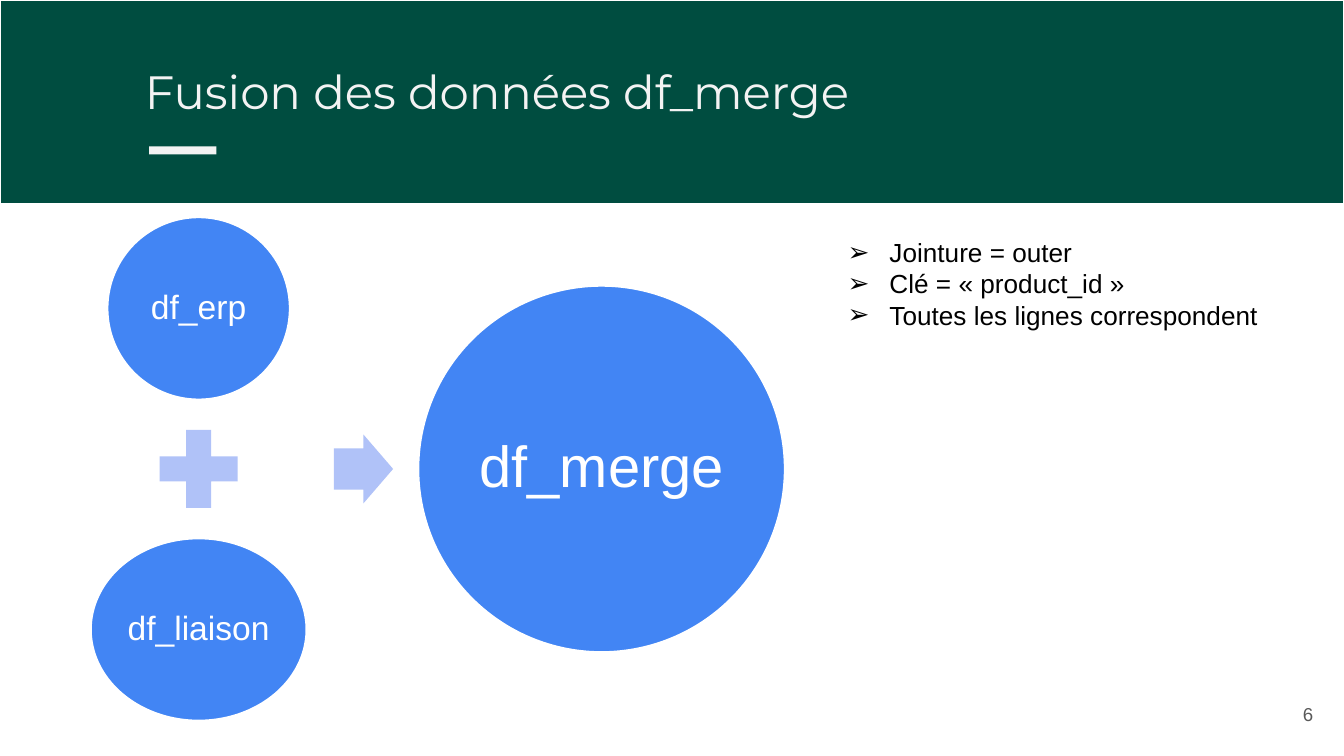
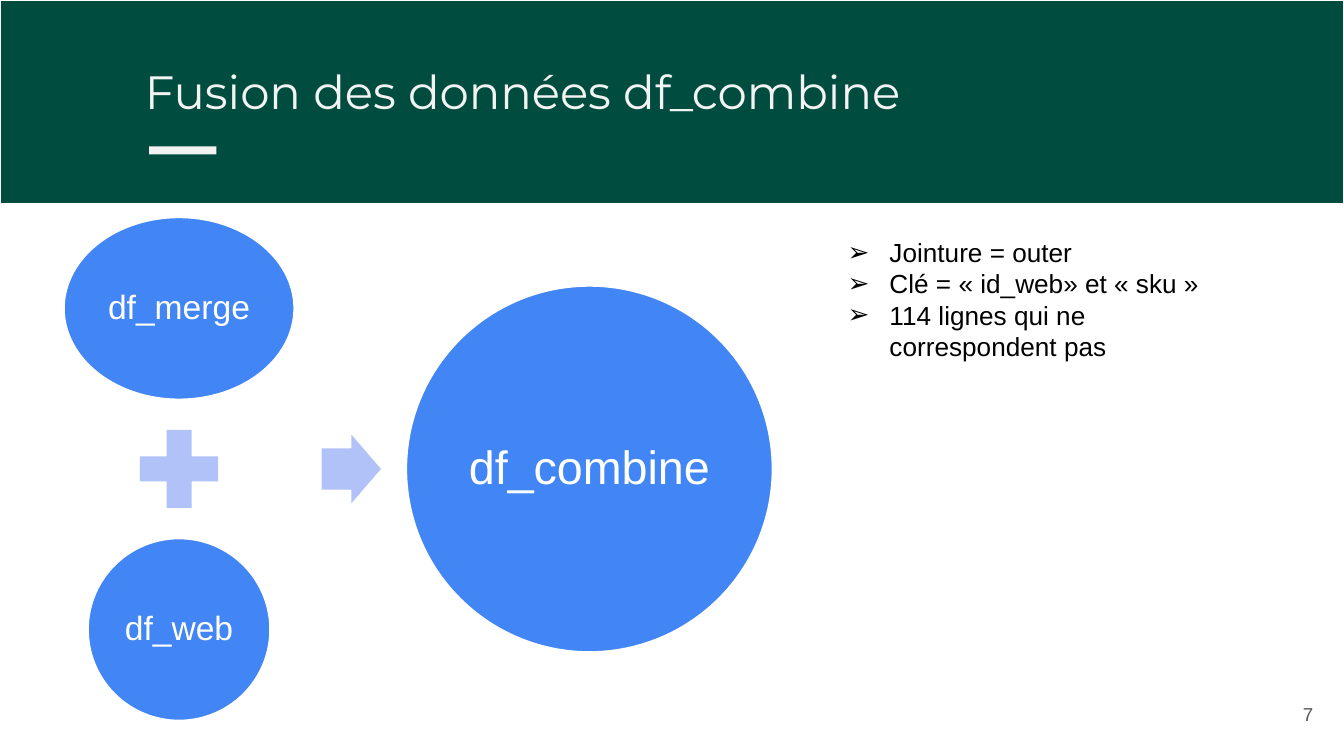
from dataclasses import dataclass

from lxml import etree
from pptx import Presentation
from pptx import util as u
from pptx.dml.color import RGBColor
from pptx.enum import shapes, text
from pptx.oxml import ns

SLIDES = [
    {
        "title": "Fusion des données df_merge",
        "number": "6",
        "left": 1.7,
        "sources": [("df_erp", 3.48), ("df_liaison", 4.11)],
        "result": ("df_merge", 31),
        "notes": [
            "Jointure = outer",
            "Clé = « product_id »",
            "Toutes les lignes correspondent",
        ],
    },
    {
        "title": "Fusion des données df_combine",
        "number": "7",
        "left": 1.19,
        "sources": [("df_merge", 4.39), ("df_web", 3.48)],
        "result": ("df_combine", 25),
        "notes": [
            "Jointure = outer",
            "Clé = « id_web» et « sku »",
            "114 lignes qui ne correspondent pas",
        ],
    },
]


@dataclass(frozen=True)
class Theme:
    band: str = "004D40"
    light: str = "F3F3F3"
    white: str = "FFFFFF"
    black: str = "000000"
    grey: str = "595959"
    circle: str = "4285F4"
    operator: str = "B0C2F8"
    title_font: str = "Montserrat"
    body_font: str = "Arial"
    title_size: int = 25
    source_size: int = 18
    note_size: int = 14
    number_size: int = 10


THEME = Theme()
WIDTH, HEIGHT = 25.4, 14.29
DIAGRAM_TOP = 4.09
SOURCE_HEIGHT = 3.48
PLUS_SIZE = 2.01
SOURCE_GAP = 0.29
ARROW_WIDTH, ARROW_HEIGHT = 1.12, 1.3
ARROW_GAP_BEFORE, ARROW_GAP_AFTER = 0.5, 0.46
RESULT_SIZE = 6.96
NOTE_INDENT = 0.79


def place(shape, left, top, width, height):
    shape.left, shape.top = u.Cm(left), u.Cm(top)
    shape.width, shape.height = u.Cm(width), u.Cm(height)


def set_frame(shape, margin_x, margin_y, anchor):
    frame = shape.text_frame
    frame.word_wrap = True
    frame.auto_size = text.MSO_AUTO_SIZE.NONE
    frame.vertical_anchor = anchor
    frame.margin_left = frame.margin_right = u.Cm(margin_x)
    frame.margin_top = frame.margin_bottom = u.Cm(margin_y)
    return frame


def style(paragraph, size, color, align, font=THEME.body_font):
    paragraph.alignment = align
    paragraph.space_before = u.Pt(0)
    for run in paragraph.runs:
        run.font.size = u.Pt(size)
        run.font.name = font
        run.font.color.rgb = RGBColor.from_string(color)


def add_block(slide, kind, box, fill, line=None, line_width=0):
    shape = slide.shapes.add_shape(kind, *map(u.Cm, box))
    shape.shadow.inherit = False
    shape.fill.solid()
    shape.fill.fore_color.rgb = RGBColor.from_string(fill)
    if line:
        shape.line.color.rgb = RGBColor.from_string(line)
        shape.line.width = u.Pt(line_width)
    else:
        shape.line.fill.background()
    return shape


def add_circle(slide, box, label, size):
    circle = add_block(slide, shapes.MSO_SHAPE.OVAL, box, THEME.circle, THEME.white, 2)
    frame = set_frame(circle, 0.08, 0.08, text.MSO_ANCHOR.MIDDLE)
    frame.text = label
    paragraph = frame.paragraphs[0]
    paragraph.line_spacing = 0.9
    style(paragraph, size, THEME.white, text.PP_ALIGN.CENTER)


def add_header(slide, title):
    rectangle = shapes.MSO_SHAPE.RECTANGLE
    band = add_block(slide, rectangle, (0, 0, WIDTH, 3.86), THEME.band, THEME.white, 0.75)
    heading = slide.shapes.title
    heading.element.addprevious(band.element)
    place(heading, 2.49, 0.94, 23.67, 1.6)
    frame = set_frame(heading, 0.25, 0.25, text.MSO_ANCHOR.TOP)
    frame.text = title
    style(frame.paragraphs[0], THEME.title_size, THEME.light,
          text.PP_ALIGN.LEFT, THEME.title_font)
    add_block(slide, rectangle, (2.82, 2.77, 1.27, 0.15), THEME.light)


def add_number(slide, number):
    box = slide.shapes.add_textbox(*map(u.Cm, (23.55, 12.95, 1.52, 1.09)))
    frame = set_frame(box, 0.25, 0.25, text.MSO_ANCHOR.MIDDLE)
    frame.text = number
    style(frame.paragraphs[0], THEME.number_size, THEME.grey, text.PP_ALIGN.RIGHT)


def add_diagram(slide, left, sources, result):
    column = max(width for _, width in sources)
    center = left + column / 2
    step = SOURCE_HEIGHT + PLUS_SIZE + 2 * SOURCE_GAP
    middle = DIAGRAM_TOP + (step + SOURCE_HEIGHT) / 2
    for row, (label, width) in enumerate(sources):
        box = (center - width / 2, DIAGRAM_TOP + row * step, width, SOURCE_HEIGHT)
        add_circle(slide, box, label, THEME.source_size)
    plus_box = (center - PLUS_SIZE / 2, middle - PLUS_SIZE / 2, PLUS_SIZE, PLUS_SIZE)
    add_block(slide, shapes.MSO_SHAPE.MATH_PLUS, plus_box, THEME.operator)
    arrow_left = left + column + ARROW_GAP_BEFORE
    arrow_box = (arrow_left, middle - ARROW_HEIGHT / 2, ARROW_WIDTH, ARROW_HEIGHT)
    arrow = add_block(slide, shapes.MSO_SHAPE.RIGHT_ARROW, arrow_box, THEME.operator)
    arrow.adjustments[0] = 0.6
    result_left = arrow_left + ARROW_WIDTH + ARROW_GAP_AFTER
    result_box = (result_left, middle - RESULT_SIZE / 2, RESULT_SIZE, RESULT_SIZE)
    add_circle(slide, result_box, *result)


def add_bullet(paragraph):
    properties = paragraph._p.get_or_add_pPr()
    properties.set("marL", str(u.Cm(NOTE_INDENT)))
    properties.set("indent", str(-u.Cm(NOTE_INDENT)))
    color = etree.SubElement(properties, ns.qn("a:buClr"))
    etree.SubElement(color, ns.qn("a:srgbClr"), val=THEME.black)
    etree.SubElement(properties, ns.qn("a:buFont"), typeface=THEME.body_font)
    etree.SubElement(properties, ns.qn("a:buChar"), char="➢")


def add_notes(slide, notes):
    body = slide.placeholders[1]
    place(body, 15.77, 4.34, 8.26, 2.64)
    frame = set_frame(body, 0.25, 0.13, text.MSO_ANCHOR.TOP)
    frame.text = "\n".join(notes)
    for paragraph in frame.paragraphs:
        add_bullet(paragraph)
        style(paragraph, THEME.note_size, THEME.black, text.PP_ALIGN.LEFT)


def main():
    presentation = Presentation()
    presentation.slide_width, presentation.slide_height = u.Cm(WIDTH), u.Cm(HEIGHT)
    layout = presentation.slide_layouts[1]
    for content in SLIDES:
        slide = presentation.slides.add_slide(layout)
        add_header(slide, content["title"])
        add_number(slide, content["number"])
        add_diagram(slide, content["left"], content["sources"], content["result"])
        add_notes(slide, content["notes"])
    presentation.save("out.pptx")


if __name__ == "__main__":
    main()
